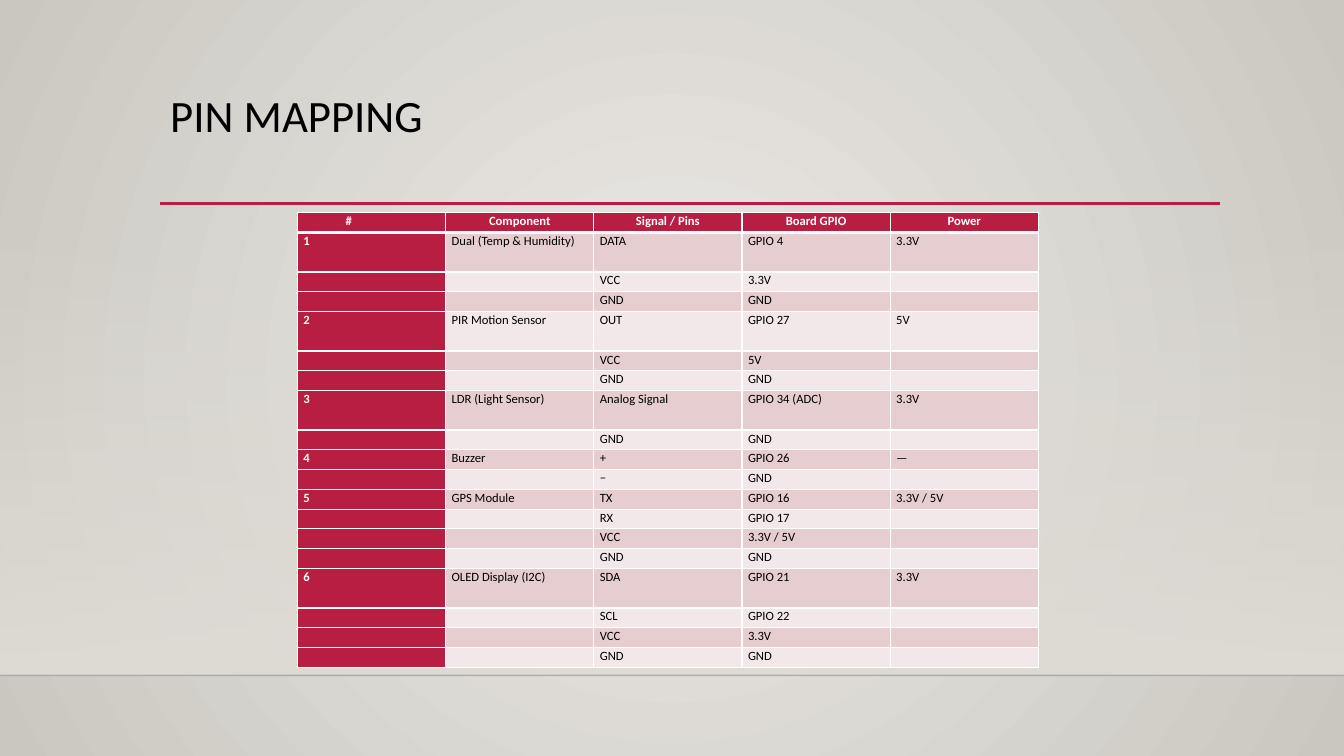
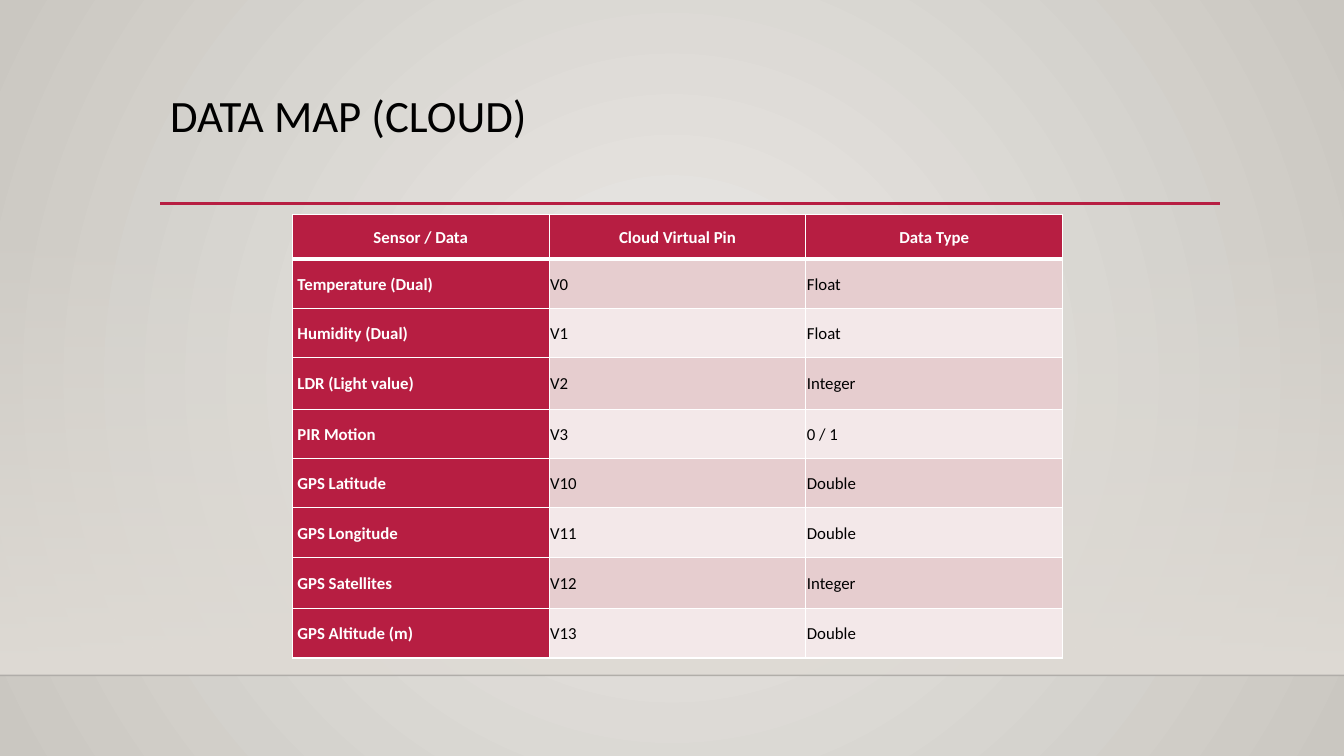
"""Build two slides with the pin mapping and data map tables of a sensor board."""
from lxml.etree import SubElement
from pptx import Presentation
from pptx.dml.color import RGBColor
from pptx.enum.shapes import MSO_CONNECTOR as CONNECTOR, MSO_SHAPE as SHAPE
from pptx.enum.text import MSO_ANCHOR as ANCHOR, PP_ALIGN as ALIGN
from pptx.oxml.ns import qn
from pptx.util import Inches, Pt

COLORS = {
    "accent": "B71E42", "white": "FFFFFF", "black": "000000", "floor": "000001",
    "odd": "E6CDCF", "even": "F3E8E9", "band": "DFDBD5",
    "center": "ECEAE7", "edge": "CAC7C1",
}
FONT = "Calibri"

pin_rows = [
    ["#", "Component", "Signal / Pins", "Board GPIO", "Power"],
    ["1", "Dual (Temp & Humidity)", "DATA", "GPIO 4", "3.3V"],
    ["", "", "VCC", "3.3V", ""],
    ["", "", "GND", "GND", ""],
    ["2", "PIR Motion Sensor", "OUT", "GPIO 27", "5V"],
    ["", "", "VCC", "5V", ""],
    ["", "", "GND", "GND", ""],
    ["3", "LDR (Light Sensor)", "Analog Signal", "GPIO 34 (ADC)", "3.3V"],
    ["", "", "GND", "GND", ""],
    ["4", "Buzzer", "+", "GPIO 26", "—"],
    ["", "", "−", "GND", ""],
    ["5", "GPS Module", "TX", "GPIO 16", "3.3V / 5V"],
    ["", "", "RX", "GPIO 17", ""],
    ["", "", "VCC", "3.3V / 5V", ""],
    ["", "", "GND", "GND", ""],
    ["6", "OLED Display (I2C)", "SDA", "GPIO 21", "3.3V"],
    ["", "", "SCL", "GPIO 22", ""],
    ["", "", "VCC", "3.3V", ""],
    ["", "", "GND", "GND", ""],
]
data_rows = [
    ["Sensor / Data", "Cloud Virtual Pin", "Data Type"],
    ["Temperature (Dual)", "V0", "Float"],
    ["Humidity (Dual)", "V1", "Float"],
    ["LDR (Light value)", "V2", "Integer"],
    ["PIR Motion", "V3", "0 / 1"],
    ["GPS Latitude", "V10", "Double"],
    ["GPS Longitude", "V11", "Double"],
    ["GPS Satellites", "V12", "Integer"],
    ["GPS Altitude (m)", "V13", "Double"],
]
pin_unit = 4.51 / 23
pages = [
    {
        "title": "PIN MAPPING", "rows": pin_rows, "box": (2.95, 2.11, 7.35, 4.51),
        "heights": [pin_unit * (2 if row[0] in ("1", "2", "3", "6") else 1) for row in pin_rows],
        "size": 9, "anchor": ANCHOR.TOP, "side": 0.06, "end": 0,
        "label_left": 0.06, "corner_right": 0.51,
    },
    {
        "title": "DATA MAP (CLOUD)", "rows": data_rows, "box": (2.9, 2.13, 7.64, 4.41),
        "heights": [0.44] + [0.51 if row[2] == "Integer" else 0.49 for row in data_rows[1:]],
        "size": 12, "anchor": ANCHOR.MIDDLE, "side": 0.01, "end": 0.01,
        "label_left": 0.05, "corner_right": 0.01,
    },
]
rules = [
    {"line": (0, 6.7, 13.33, 6.7), "color": "floor", "width": 1, "alpha": "20000"},
    {"line": (1.59, 2.02, 12.1, 2.02), "color": "accent", "width": 2.5, "alpha": "100000"},
]


def color(name):
    return RGBColor.from_string(COLORS[name])


def write(paragraph, text, size, ink, **formats):
    run = paragraph.add_run()
    run.text = text
    for name, value in {"name": FONT, "size": Pt(size), **formats}.items():
        setattr(run.font, name, value)
    run.font.color.rgb = color(ink)


presentation = Presentation()
presentation.slide_width = Inches(13.33)
presentation.slide_height = Inches(7.5)

master = presentation.slide_master
backdrop = master.background.fill
backdrop.gradient()
for stop, name in zip(backdrop.gradient_stops, ("center", "edge")):
    stop.color.rgb = color(name)
gradient = next(master.element.iter(qn("a:gradFill")))
gradient.remove(gradient.find(qn("a:lin")))
circle = SubElement(gradient, qn("a:path"), path="circle")
SubElement(circle, qn("a:fillToRect"), l="50000", t="50000", r="50000", b="50000")

for page in pages:
    slide = presentation.slides.add_slide(presentation.slide_layouts[6])

    band = slide.shapes.add_shape(SHAPE.RECTANGLE, *map(Inches, (0, 2.21, 13.33, 4.49)))
    band.shadow.inherit = False
    band.line.fill.background()
    band.fill.gradient()
    band.fill.gradient_angle = 270
    for stop in band.fill.gradient_stops:
        stop.color.rgb = color("band")
    clear = next(band.element.spPr.iter(qn("a:srgbClr")))
    SubElement(clear, qn("a:alpha"), val="0")

    for rule in rules:
        connector = slide.shapes.add_connector(CONNECTOR.STRAIGHT, *map(Inches, rule["line"]))
        connector.line.width = Pt(rule["width"])
        connector.line.color.rgb = color(rule["color"])
        properties = connector.element.spPr
        ink = next(properties.iter(qn("a:srgbClr")))
        SubElement(ink, qn("a:alpha"), val=rule["alpha"])
        SubElement(properties, qn("a:effectLst"))

    title = slide.shapes.add_textbox(*map(Inches, (1.59, 0.88, 10.5, 1.15)))
    title.text_frame.word_wrap = True
    paragraph = title.text_frame.paragraphs[0]
    paragraph.line_spacing = 0.9
    write(paragraph, page["title"], 32, "black")

    rows = page["rows"]
    box = map(Inches, page["box"])
    table = slide.shapes.add_table(len(rows), len(rows[0]), *box).table
    for table_row, height in zip(table.rows, page["heights"]):
        table_row.height = Inches(height)

    for row, texts in enumerate(rows):
        for column, text in enumerate(texts):
            cell = table.cell(row, column)
            header, label = row == 0, row == 0 or column == 0
            indented = column == 0 and not header
            formats = {
                "margin_left": Inches(page["label_left" if indented else "side"]),
                "margin_right": Inches(page["corner_right" if header and column == 0 else "side"]),
                "margin_top": Inches(page["end"]),
                "margin_bottom": Inches(page["end"]),
                "vertical_anchor": page["anchor"],
            }
            for name, value in formats.items():
                setattr(cell, name, value)

            widths = {"lnL": 1, "lnR": 1, "lnT": 3 if row == 1 else 1, "lnB": 3 if header else 1}
            cell_properties = cell._tc.get_or_add_tcPr()
            for side, width in widths.items():
                border = SubElement(cell_properties, qn(f"a:{side}"), w=str(Pt(width)))
                paint = SubElement(border, qn("a:solidFill"))
                SubElement(paint, qn("a:srgbClr"), val=COLORS["white"])
            cell.fill.solid()
            cell.fill.fore_color.rgb = color("accent" if label else "odd" if row % 2 else "even")

            paragraph = cell.text_frame.paragraphs[0]
            paragraph.line_spacing = 1.07
            paragraph.alignment = ALIGN.CENTER if header else ALIGN.LEFT
            if text:
                write(paragraph, text, page["size"], "white" if label else "black", bold=label)
            else:
                SubElement(paragraph._p, qn("a:endParaRPr"), sz=str(page["size"] * 100))

presentation.save("out.pptx")
